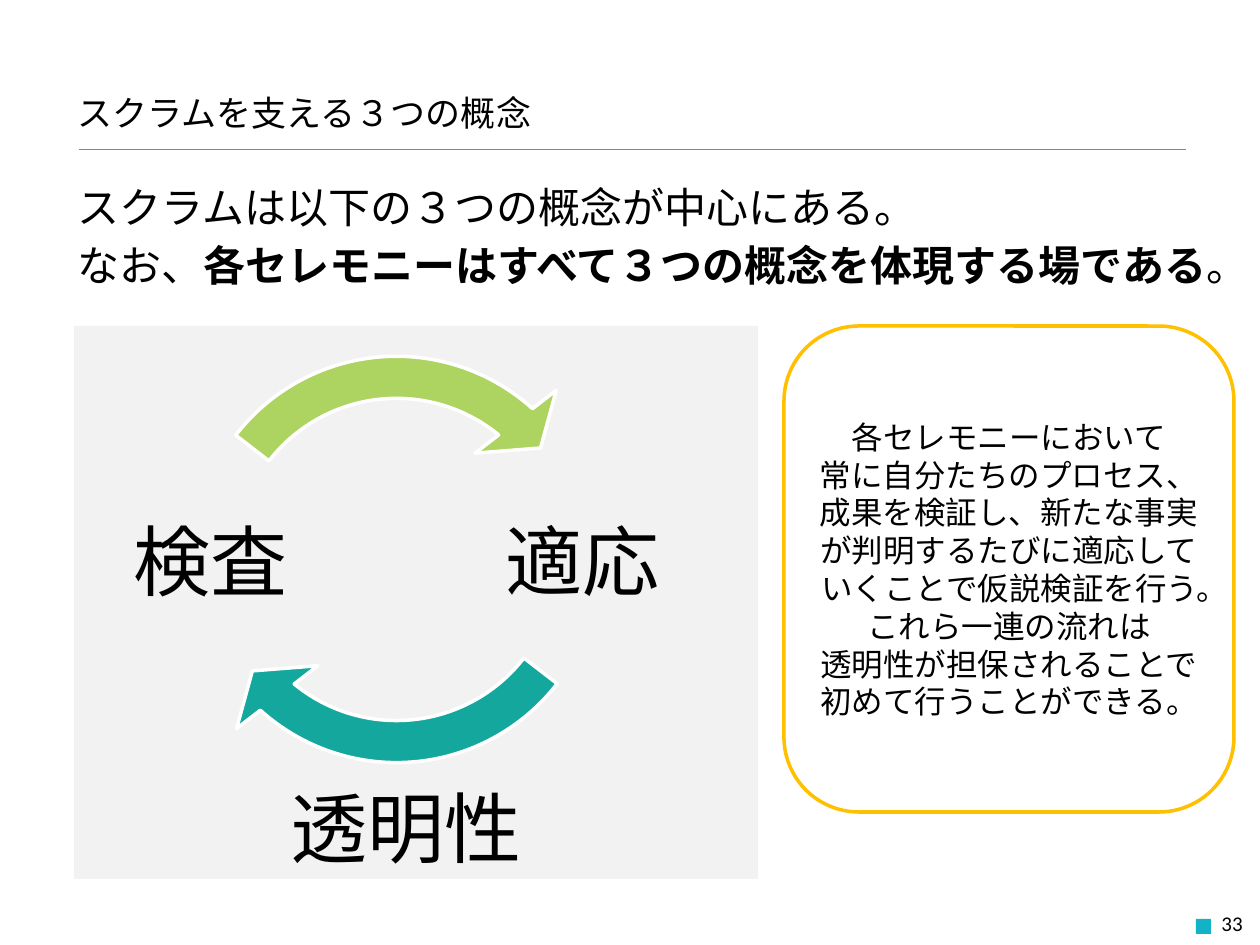
from pptx import Presentation, util as u
from pptx.dml.color import RGBColor
from pptx.enum import shapes, text
from pptx.oxml.ns import qn
from lxml import etree

PX = 914400 / 126
SHAPE = shapes.MSO_SHAPE
ALIGN = text.PP_ALIGN
ANCHOR = text.MSO_ANCHOR

THEME = {
    "jp": "Noto Sans CJK JP", "latin": "Calibri",
    "ink": "000000", "accent": "12B3C7", "panel": "F2F2F2",
    "teal": "14A79D", "green": "ADD361", "amber": "FFC000", "white": "FFFFFF",
    "title": 20, "body": 24, "concept": 44, "note": 18, "number": 12,
}

TITLE = ["スクラムを支える３つの概念"]
BODY = [
    "スクラムは以下の３つの概念が中心にある。",
    [("なお、", False), ("各セレモニーはすべて３つの概念を体現する場である", True), ("。", False)],
]
NOTE = [
    "各セレモニーにおいて",
    "常に自分たちのプロセス、成果を検証し、新たな事実が判明するたびに適応していくことで仮説検証を行う。",
    "これら一連の流れは",
    "透明性が担保されることで初めて行うことができる。",
]
CONCEPTS = [
    ("検査", (97, 446, 227, 227)),
    ("適応", (469, 446, 227, 227)),
    ("透明性", (263, 774, 287, 106)),
]
CYCLE_BOX = (163, 326, 467, 467)
ARROWS = [("teal", 78.53, 22.62), ("green", 186.53, 130.62)]


def px(*values):
    return [u.Emu(round(v * PX)) for v in values]


def color(name):
    return RGBColor.from_string(THEME[name])


def add_shape(slide, kind, box, fill=None, line=None):
    s = slide.shapes.add_shape(kind, *px(*box))
    s.shadow.inherit = False
    if fill:
        s.fill.solid()
        s.fill.fore_color.rgb = color(fill)
    else:
        s.fill.background()
    if line:
        s.line.color.rgb = color(line)
        s.line.width = u.Pt(2)
    else:
        s.line.fill.background()
    return s


def write(s, paragraphs, size, font="jp", align=ALIGN.LEFT, anchor=ANCHOR.MIDDLE,
          gap=0, spacing=None):
    tf = s.text_frame
    tf.word_wrap = True
    tf.vertical_anchor = anchor
    for i, runs in enumerate(paragraphs):
        p = tf.paragraphs[0] if i == 0 else tf.add_paragraph()
        p.alignment = align
        if i and gap:
            p.space_before = u.Pt(gap)
        if spacing:
            p.line_spacing = spacing
        for content, bold in [(runs, False)] if isinstance(runs, str) else runs:
            r = p.add_run()
            r.text = content
            r.font.name = THEME[font]
            r.font.size = u.Pt(THEME[size])
            r.font.bold = bold
            r.font.color.rgb = color("ink")
            ea = etree.SubElement(r.font._element, qn("a:ea"))
            ea.set("typeface", THEME[font])


def add_text(slide, box, paragraphs, size, **style):
    write(slide.shapes.add_textbox(*px(*box)), paragraphs, size, **style)


def add_rule(slide, x1, x2, y):
    c = slide.shapes.add_connector(shapes.MSO_CONNECTOR.STRAIGHT, *px(x1, y, x2, y))
    c.line.color.rgb = color("accent")
    c.line.width = u.Pt(0.25)
    etree.SubElement(c._element.spPr, qn("a:effectLst"))


def main():
    prs = Presentation()
    prs.slide_width, prs.slide_height = px(1260, 945)
    slide = prs.slides.add_slide(prs.slide_layouts[6])

    add_shape(slide, SHAPE.RECTANGLE, (1196, 919, 15, 15), fill="accent")
    add_rule(slide, 79, 1186, 149)
    add_shape(slide, SHAPE.RECTANGLE, (74, 326, 684, 553), fill="panel")
    add_text(slide, (65, 91, 863, 44), TITLE, "title")
    add_text(slide, (65, 175, 1160, 151), BODY, "body", anchor=ANCHOR.TOP, gap=4.8)
    add_text(slide, (961, 898, 294, 50), ["33"], "number", font="latin", align=ALIGN.RIGHT)

    for fill, tip, tail in ARROWS:
        arrow = add_shape(slide, SHAPE.CIRCULAR_ARROW, CYCLE_BOX, fill=fill, line="white")
        for i, value in enumerate((0.09, 6.84, tip, tail, 0.11)):
            arrow.adjustments[i] = value
    for concept, box in CONCEPTS:
        add_text(slide, box, [concept], "concept", align=ALIGN.CENTER)

    note = add_shape(slide, SHAPE.ROUNDED_RECTANGLE, (784, 326, 450, 486), line="amber")
    write(note, NOTE, "note", align=ALIGN.CENTER)

    prs.save("out.pptx")


if __name__ == "__main__":
    main()
